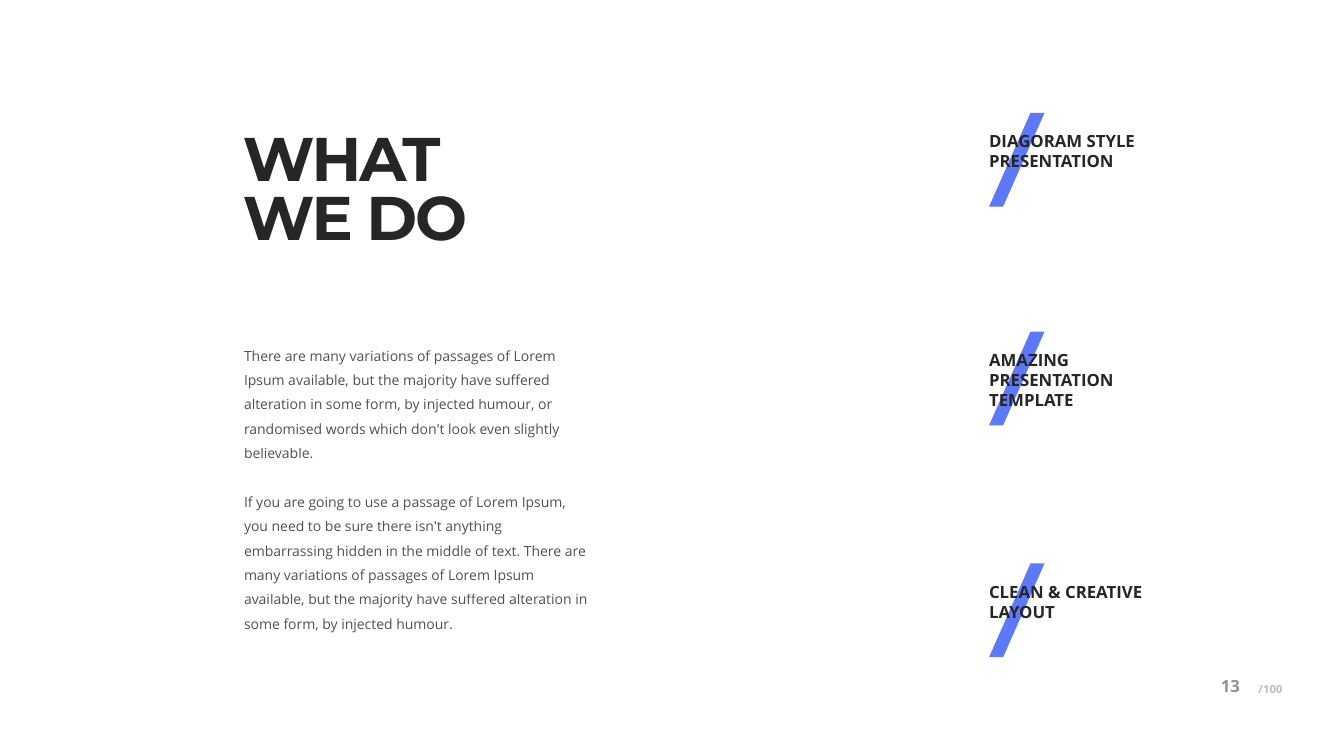
from dataclasses import dataclass

from lxml.etree import SubElement
from pptx import Presentation
from pptx.dml.color import RGBColor
from pptx.enum.shapes import MSO_SHAPE
from pptx.enum.text import MSO_ANCHOR, MSO_AUTO_SIZE, PP_ALIGN
from pptx.oxml.ns import qn
from pptx.shapes.base import BaseShape
from pptx.slide import Slide
from pptx.util import Emu, Pt

EMU_PER_PX = 9144


@dataclass(frozen=True)
class Theme:
    ink: RGBColor = RGBColor(0x26, 0x26, 0x26)
    accent: RGBColor = RGBColor(0x5E, 0x78, 0xFA)
    title_font: str = "Montserrat"
    text_font: str = "Open Sans"
    title_size: int = 44
    body_size: int = 10
    label_size: int = 12
    total_size: int = 8


@dataclass(frozen=True)
class Feature:
    top: int
    width: int
    lines: tuple[str, ...]


THEME = Theme()
FEATURE_LEFT = 981
LABEL_DROP = 13
LABEL_LINE = 20
SLASH_WIDTH, SLASH_HEIGHT, SLASH_SLANT = 55, 93, 0.747

FEATURES = (
    Feature(112, 146, ("DIAGORAM STYLE", "PRESENTATION")),
    Feature(329, 125, ("AMAZING", "PRESENTATION", "TEMPLATE")),
    Feature(559, 154, ("CLEAN & CREATIVE", "LAYOUT")),
)
BODY = (
    "There are many variations of passages of Lorem Ipsum available, but the majority "
    "have suffered alteration in some form, by injected humour, or randomised words "
    "which don't look even slightly believable.",
    "If you are going to use a passage of Lorem Ipsum, you need to be sure there isn't "
    "anything embarrassing hidden in the middle of text. There are many variations of "
    "passages of Lorem Ipsum available, but the majority have suffered alteration in "
    "some form, by injected humour.",
)


def px(length: int) -> Emu:
    return Emu(length * EMU_PER_PX)


def place(box: BaseShape, left: int, top: int, width: int, height: int) -> None:
    box.left, box.top, box.width, box.height = map(px, (left, top, width, height))


def write(
    box: BaseShape,
    lines: tuple[str, ...],
    *,
    size: int,
    font: str = THEME.text_font,
    bold: bool = True,
    opacity: int = 100,
    tracking: int = 0,
    line_spacing: float = 1.0,
    gap: float = 0,
    align: PP_ALIGN = PP_ALIGN.LEFT,
    anchor: MSO_ANCHOR = MSO_ANCHOR.TOP,
    inset_top: int = 0,
    inset_bottom: int = 0,
    wrap: bool = True,
) -> None:
    frame = box.text_frame
    frame.word_wrap = wrap
    frame.auto_size = MSO_AUTO_SIZE.NONE if wrap else MSO_AUTO_SIZE.SHAPE_TO_FIT_TEXT
    frame.vertical_anchor = anchor
    frame.margin_left = frame.margin_right = 0
    frame.margin_top, frame.margin_bottom = px(inset_top), px(inset_bottom)
    for index, line in enumerate(lines):
        para = frame.add_paragraph() if index else frame.paragraphs[0]
        para.text = line
        properties = para._p.get_or_add_pPr()
        properties.set("marL", "0")
        properties.set("indent", "0")
        SubElement(properties, qn("a:buNone"))
        para.alignment = align
        para.line_spacing = line_spacing
        para.space_before = Pt(gap if index else 0)
        for span in para.runs:
            span.font.name = font
            span.font.size = Pt(size)
            span.font.bold = bold
            span.font.color.rgb = THEME.ink
            if tracking:
                span._r.get_or_add_rPr().set("spc", str(tracking))
            if opacity < 100:
                color = span._r.rPr.find(qn("a:solidFill")).find(qn("a:srgbClr"))
                SubElement(color, qn("a:alpha")).set("val", str(opacity * 1000))


def add_text_box(page: Slide, left: int, top: int, width: int, height: int) -> BaseShape:
    return page.shapes.add_textbox(*map(px, (left, top, width, height)))


def add_feature(page: Slide, feature: Feature) -> None:
    slash = page.shapes.add_shape(
        MSO_SHAPE.PARALLELOGRAM,
        *map(px, (FEATURE_LEFT, feature.top, SLASH_WIDTH, SLASH_HEIGHT)),
    )
    slash.adjustments[0] = SLASH_SLANT
    slash.shadow.inherit = False
    slash.fill.solid()
    slash.fill.fore_color.rgb = THEME.accent
    slash.line.fill.background()
    label = add_text_box(
        page,
        FEATURE_LEFT,
        feature.top + LABEL_DROP,
        feature.width,
        LABEL_LINE * len(feature.lines) + 10,
    )
    write(label, feature.lines, size=THEME.label_size, inset_top=5, inset_bottom=5, wrap=False)


def main() -> None:
    deck = Presentation()
    deck.slide_width, deck.slide_height = px(1333), px(750)
    page = deck.slides.add_slide(deck.slide_layouts[1])

    title = page.shapes.title
    place(title, 241, 112, 500, 163)
    write(
        title,
        ("WHAT\vWE DO",),
        size=THEME.title_size,
        font=THEME.title_font,
        tracking=-150,
        line_spacing=0.8,
        inset_top=21,
    )

    body = page.placeholders[1]
    place(body, 242, 337, 346, 369)
    write(
        body,
        BODY,
        size=THEME.body_size,
        bold=False,
        opacity=80,
        line_spacing=1.45,
        gap=17.4,
        inset_bottom=5,
    )

    for feature in FEATURES:
        add_feature(page, feature)

    page_number = add_text_box(page, 1211, 668, 56, 25)
    write(page_number, ("13",), size=THEME.label_size, opacity=50, anchor=MSO_ANCHOR.MIDDLE)
    page_total = add_text_box(page, 1216, 671, 56, 25)
    write(
        page_total,
        ("/100",),
        size=THEME.total_size,
        opacity=30,
        align=PP_ALIGN.RIGHT,
        anchor=MSO_ANCHOR.MIDDLE,
    )
    deck.save("out.pptx")


if __name__ == "__main__":
    main()
